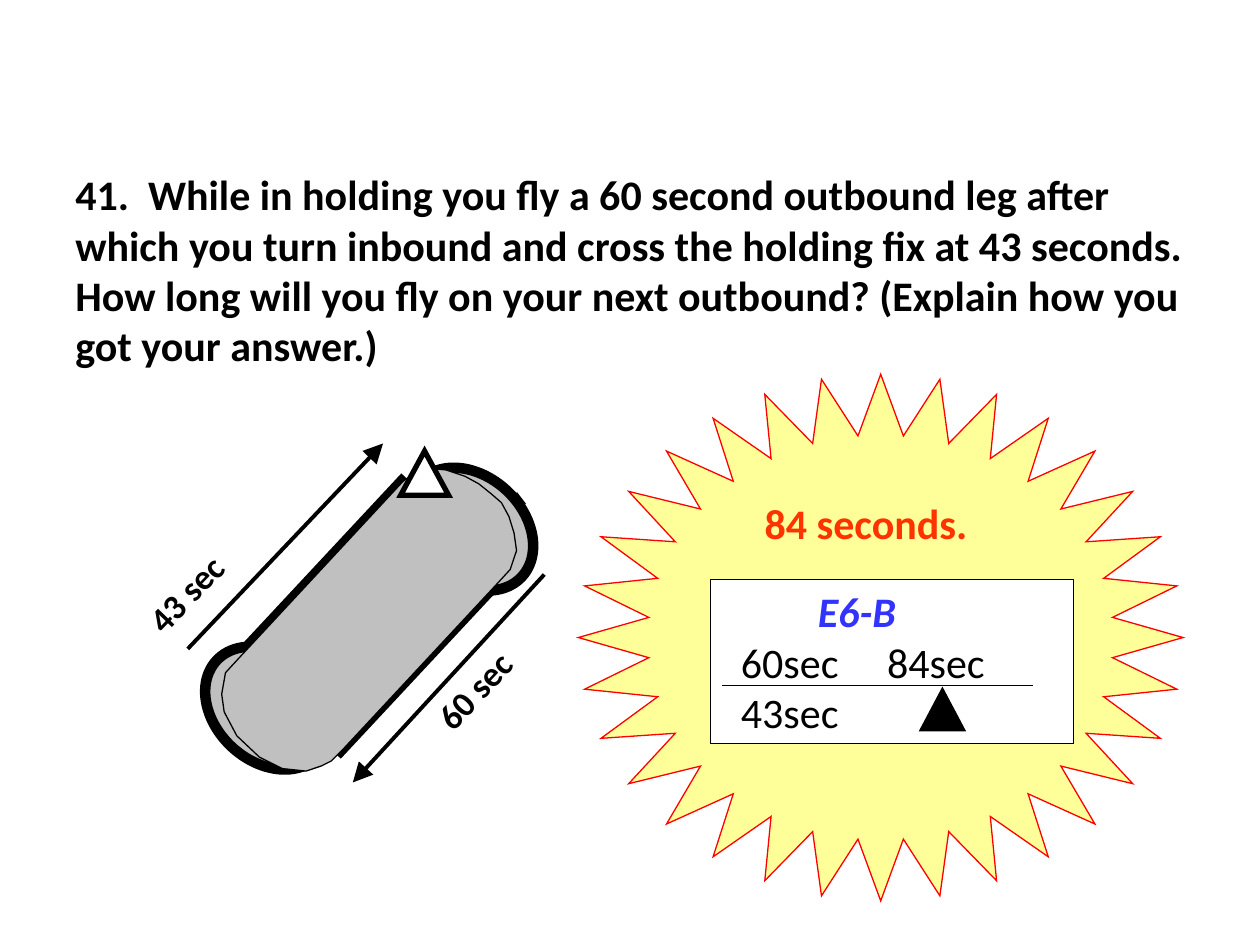
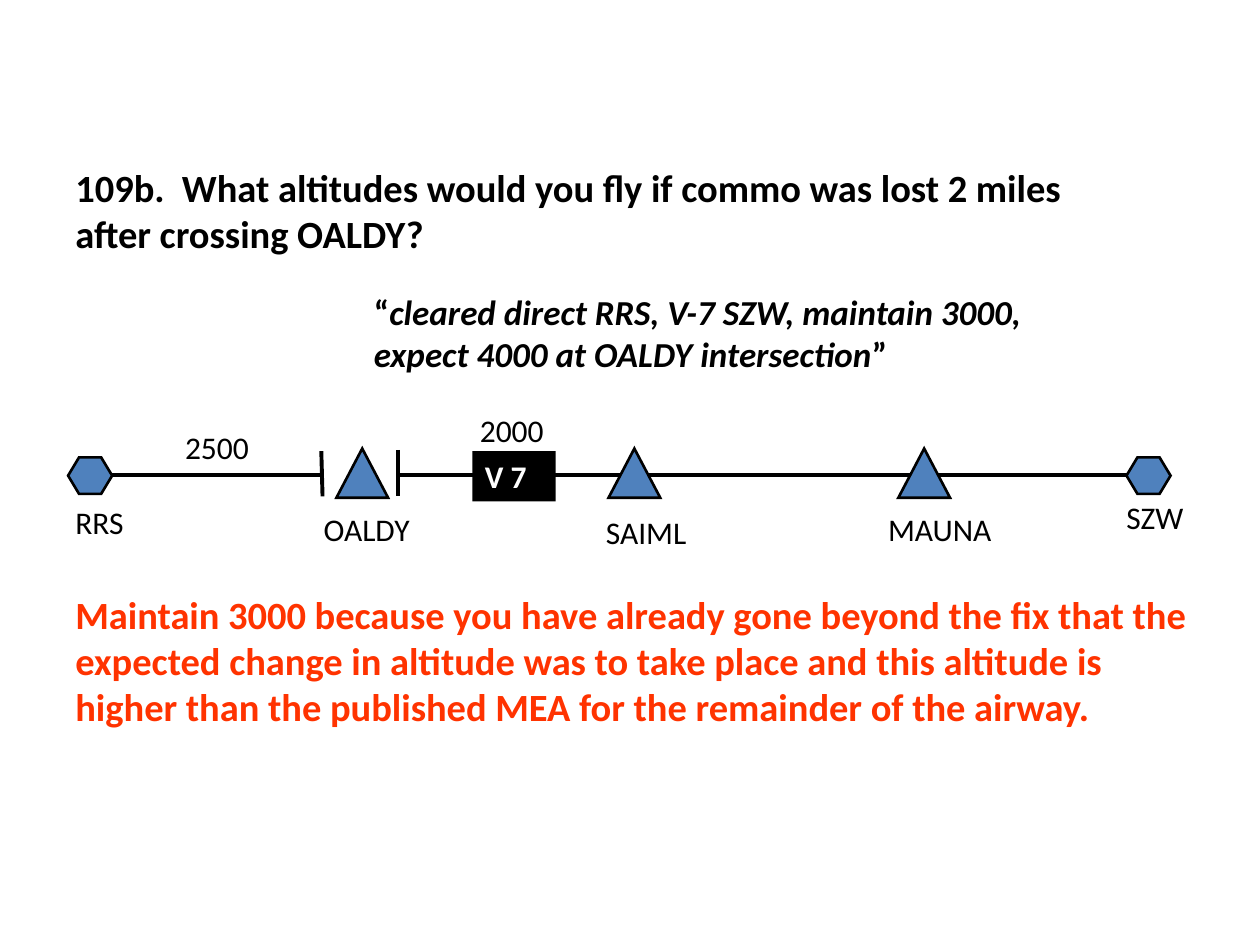
from dataclasses import dataclass
from math import cos, pi, sin

from pptx import Presentation
from pptx.dml.color import RGBColor
from pptx.enum.shapes import MSO_CONNECTOR, MSO_SHAPE
from pptx.enum.text import MSO_ANCHOR, PP_ALIGN
from pptx.oxml.ns import qn
from pptx.util import Pt
from lxml import etree

PX = 9144  # EMU in one px, 100 px to the inch
STRAIGHT = MSO_CONNECTOR.STRAIGHT
RECTANGLE, ELLIPSE = MSO_SHAPE.RECTANGLE, MSO_SHAPE.OVAL
TRIANGLE, HEXAGON = MSO_SHAPE.ISOSCELES_TRIANGLE, MSO_SHAPE.HEXAGON
LEFT, TOP = PP_ALIGN.LEFT, MSO_ANCHOR.TOP


@dataclass(frozen=True)
class Theme:
    font: str = "Calibri"
    black: str = "000000"
    white: str = "FFFFFF"
    answer: str = "FF3300"
    accent: str = "3333FF"
    track: str = "C0C0C0"
    fix: str = "4F81BD"
    burst: str = "FFFF99"
    burst_edge: str = "FF0000"
    question_size: int = 24
    airway_size: int = 22
    note_size: int = 20
    label_size: int = 18
    hairline: float = 0.75
    outline: float = 1.5
    route: float = 2.25
    marker: float = 3
    thick: float = 6


THEME = Theme()

# Content: holding pattern
HOLDING_QUESTION = (
    "41.  While in holding you fly a 60 second outbound leg after which you turn "
    "inbound and cross the holding fix at 43 seconds.  How long will you fly on "
    "your next outbound? (Explain how you got your answer.)")
HOLDING_ANSWER = "84 seconds."
BURST = {"center": (699, 506), "radii": (240, 209), "points": 32, "inner": 0.77}
TRACK_ANGLE = 43
TRACK_PARTS = [
    (RECTANGLE, (239, 394, 111, 190)),
    (ELLIPSE, (318, 378, 111, 84)),
    (ELLIPSE, (157, 520, 111, 84)),
]
TRACK_OUTLINE = [
    (320, 382), (190, 522), (179, 534), (176, 551), (178, 565), (188, 584),
    (206, 601), (224, 610), (243, 612), (255, 608), (263, 604), (273, 594),
    (394, 464), (405, 452), (410, 437), (408, 423), (404, 410), (398, 399),
    (390, 392), (380, 384), (369, 378), (354, 373), (342, 372), (333, 375),
    (327, 377)]
TRACK_TICKS = [((168, 534), (162, 544)), ((410, 391), (417, 400))]
HOLDING_FIX = (318, 358, 38, 35)
LEGS = [  # start, end, label, label box, label angle
    ((432, 456), (280, 621), "60 sec", (331, 526, 91, 44), 313),
    ((149, 515), (304, 352), "43 sec", (102, 449, 91, 44), 314),
]
COMPUTER_BOX = (564, 460, 288, 130)
COMPUTER_INSET, TITLE_INDENT, SECOND_COLUMN = 24, 61, 116
COMPUTER_TITLE = "E6-B"
COMPUTER_ROWS = ["60sec\t84sec", "43sec"]
COMPUTER_RULE = ((573, 544), (820, 544))
COMPUTER_POINTER = (730, 546, 36, 34)

# Content: airway
AIRWAY_QUESTION = ("109b.  What altitudes would you fly if commo was lost 2 miles "
                   "after crossing OALDY?")
AIRWAY_ANSWER = (
    "Maintain 3000 because you have already gone beyond the fix that the expected "
    "change in altitude was to take place and this altitude is higher than the "
    "published MEA for the remainder of the airway.")
CLEARANCE = [
    ["“", ("cleared direct RRS, V-7 SZW, maintain 3000,", {"italic": True})],
    [("expect 4000 at OALDY intersection", {"italic": True}), "”"],
]
AIRWAY_Y = 377
AIRWAY_SEGMENTS = [(89, 256), (317, 912)]
ALTITUDE_TICKS = [((255, 358), (256, 394)), ((316, 357), (316, 394))]
STATIONS = [54, 894]
INTERSECTIONS = [267, 483, 713]
AIRWAY_NAME, AIRWAY_NAME_BOX = "V 7", (375, 358, 66, 40)
AIRWAY_LABELS = [  # text, left, top, width
    ("RRS", 50, 394, 62), ("OALDY", 247, 400, 93), ("SAIML", 471, 402, 88),
    ("MAUNA", 695, 400, 106), ("SZW", 884, 390, 69),
    ("2500", 137, 335, 78), ("2000", 371, 321, 78),
]


def color(value):
    return RGBColor.from_string(value)


def emu(values):
    return [value * PX for value in values]


def style(shape, fill, line=None, width=THEME.hairline):
    shape.shadow.inherit = False
    shape.fill.solid()
    shape.fill.fore_color.rgb = color(fill)
    if line:
        shape.line.color.rgb = color(line)
        shape.line.width = Pt(width)
        etree.SubElement(shape.line._get_or_add_ln(), qn("a:miter"), lim="800000")
    else:
        shape.line.fill.background()
    return shape


def add_preset(slide, kind, box, fill, line=None, width=THEME.hairline, angle=0):
    shape = slide.shapes.add_shape(kind, *emu(box))
    shape.rotation = angle
    return style(shape, fill, line, width)


def add_outline(slide, points, fill, line):
    builder = slide.shapes.build_freeform(*points[0], scale=PX)
    builder.add_line_segments(points[1:], close=True)
    return style(builder.convert_to_shape(), fill, line)


def add_line(slide, start, end, width=THEME.route, arrow=False):
    connector = slide.shapes.add_connector(STRAIGHT, *emu(start + end))
    connector.line.color.rgb = color(THEME.black)
    connector.line.width = Pt(width)
    if arrow:
        line = connector.line._get_or_add_ln()
        etree.SubElement(line, qn("a:tailEnd"), type="triangle", w="lg", len="lg")
    etree.SubElement(connector._element.spPr, qn("a:effectLst"))


def write(shape, paragraphs, size, ink=THEME.black, bold=False, wrap=True, inset=10):
    """Fill a shape; each paragraph is a string or a list of runs."""
    frame = shape.text_frame
    frame.word_wrap = wrap
    frame.vertical_anchor = TOP
    frame.margin_left, frame.margin_top, frame.margin_right, frame.margin_bottom = emu(
        (inset, 5, 10, 5))
    for index, runs in enumerate(paragraphs):
        paragraph = frame.paragraphs[0] if index == 0 else frame.add_paragraph()
        paragraph.alignment = LEFT
        for item in [runs] if isinstance(runs, str) else runs:
            text, changes = (item, {}) if isinstance(item, str) else item
            run = paragraph.add_run()
            run.text = text
            font = run.font
            font.name, font.size = THEME.font, Pt(size)
            font.bold = changes.get("bold", bold)
            font.italic = changes.get("italic", False)
            font.color.rgb = color(changes.get("ink", ink))


def add_text(slide, box, paragraphs, size, angle=0, **format):
    shape = slide.shapes.add_textbox(*emu(box))
    shape.rotation = angle
    write(shape, paragraphs, size, **format)


def burst_points(center, radii, points, inner):
    result = []
    for step in range(2 * points):
        angle, reach = step * pi / points, inner if step % 2 else 1
        result.append((round(center[0] - reach * radii[0] * cos(angle)),
                       round(center[1] + reach * radii[1] * sin(angle))))
    return result


def add_computer(slide):
    panel = add_preset(slide, RECTANGLE, COMPUTER_BOX, THEME.white, THEME.black)
    title = (COMPUTER_TITLE, {"bold": True, "italic": True, "ink": THEME.accent})
    write(panel, [[title], *COMPUTER_ROWS], THEME.question_size, inset=COMPUTER_INSET)
    heading, first_row = panel.text_frame.paragraphs[:2]
    heading._p.get_or_add_pPr().set("marL", str(TITLE_INDENT * PX))
    tabs = etree.SubElement(first_row._p.get_or_add_pPr(), qn("a:tabLst"))
    etree.SubElement(tabs, qn("a:tab"), pos=str(SECOND_COLUMN * PX), algn="l")
    add_line(slide, *COMPUTER_RULE, width=THEME.hairline)
    add_preset(slide, TRIANGLE, COMPUTER_POINTER, THEME.black, THEME.black)


def build_holding(slide):
    # Burst, question and answer
    add_outline(slide, burst_points(**BURST), THEME.burst, THEME.burst_edge)
    add_text(slide, (50, 129, 913, 170), [HOLDING_QUESTION], THEME.question_size, bold=True)
    add_text(slide, (597, 390, 230, 50), [HOLDING_ANSWER], THEME.question_size,
             ink=THEME.answer, bold=True)
    # Racetrack
    for kind, box in TRACK_PARTS:
        add_preset(slide, kind, box, THEME.track, THEME.black, THEME.thick, TRACK_ANGLE)
    add_outline(slide, TRACK_OUTLINE, THEME.track, THEME.black)
    for start, end in TRACK_TICKS:
        add_line(slide, start, end, THEME.hairline)
    add_preset(slide, TRIANGLE, HOLDING_FIX, THEME.white, THEME.black, THEME.marker)
    # Timed legs
    for start, end, label, box, angle in LEGS:
        add_line(slide, start, end, arrow=True)
        add_text(slide, box, [label], THEME.note_size, angle, bold=True, wrap=False)
    add_computer(slide)


def build_airway(slide):
    # Question, answer and clearance
    add_text(slide, (50, 125, 842, 84), [AIRWAY_QUESTION], THEME.airway_size, bold=True)
    add_text(slide, (50, 464, 917, 120), [AIRWAY_ANSWER], THEME.airway_size,
             ink=THEME.answer, bold=True)
    add_text(slide, (287, 226, 544, 77), CLEARANCE, THEME.note_size, bold=True, wrap=False)
    # Route line and its fixes
    for start, end in AIRWAY_SEGMENTS:
        add_line(slide, (start, AIRWAY_Y), (end, AIRWAY_Y))
    for start, end in ALTITUDE_TICKS:
        add_line(slide, start, end)
    for left in STATIONS:
        station = add_preset(slide, HEXAGON, (left, 363, 35, 29), THEME.fix,
                             THEME.black, THEME.outline)
        station.adjustments[0] = 0.3
    for left in INTERSECTIONS:
        add_preset(slide, TRIANGLE, (left, 356, 41, 39), THEME.fix,
                   THEME.black, THEME.outline)
    # Names and altitudes
    name = add_preset(slide, RECTANGLE, AIRWAY_NAME_BOX, THEME.black)
    write(name, [AIRWAY_NAME], THEME.label_size, ink=THEME.white, bold=True)
    for label, left, top, width in AIRWAY_LABELS:
        add_text(slide, (left, top, width, 40), [label], THEME.label_size, wrap=False)


def main():
    presentation = Presentation()
    presentation.slide_width, presentation.slide_height = emu((1000, 750))
    for build in (build_holding, build_airway):
        build(presentation.slides.add_slide(presentation.slide_layouts[6]))
    presentation.save("out.pptx")


if __name__ == "__main__":
    main()
